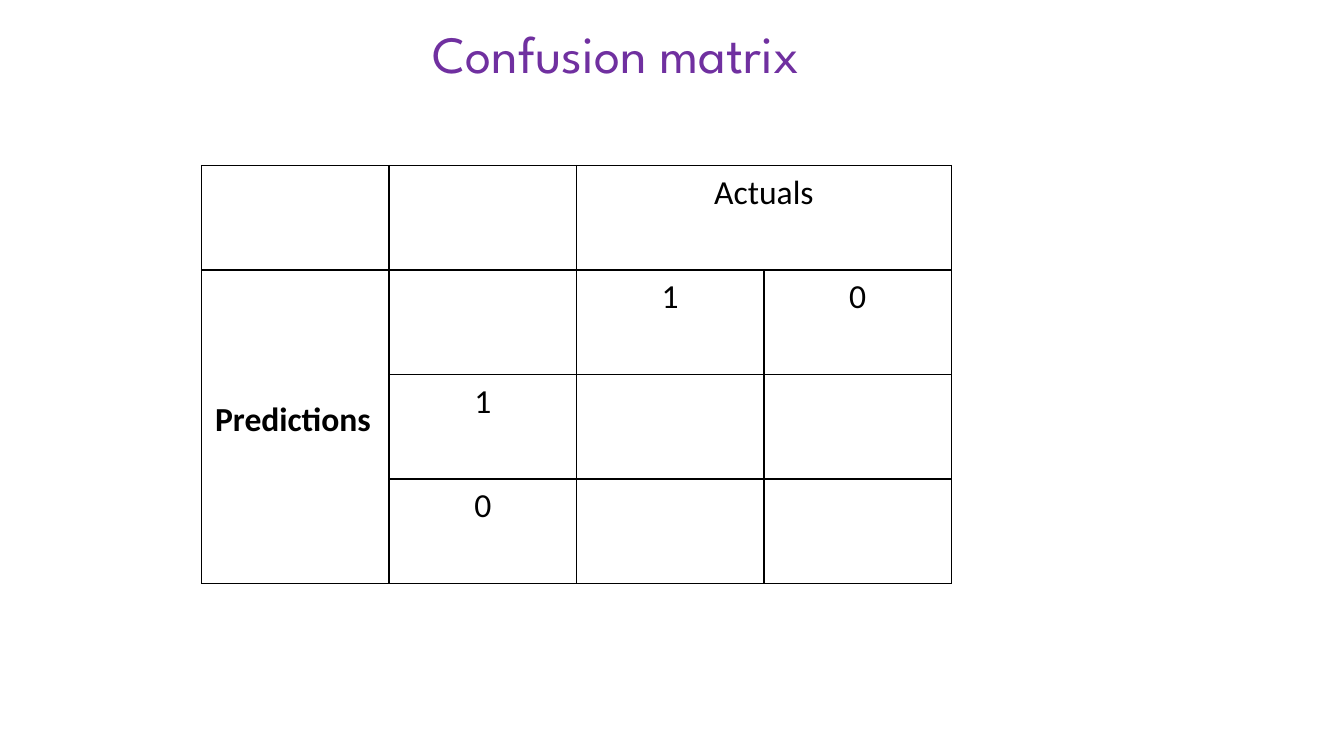
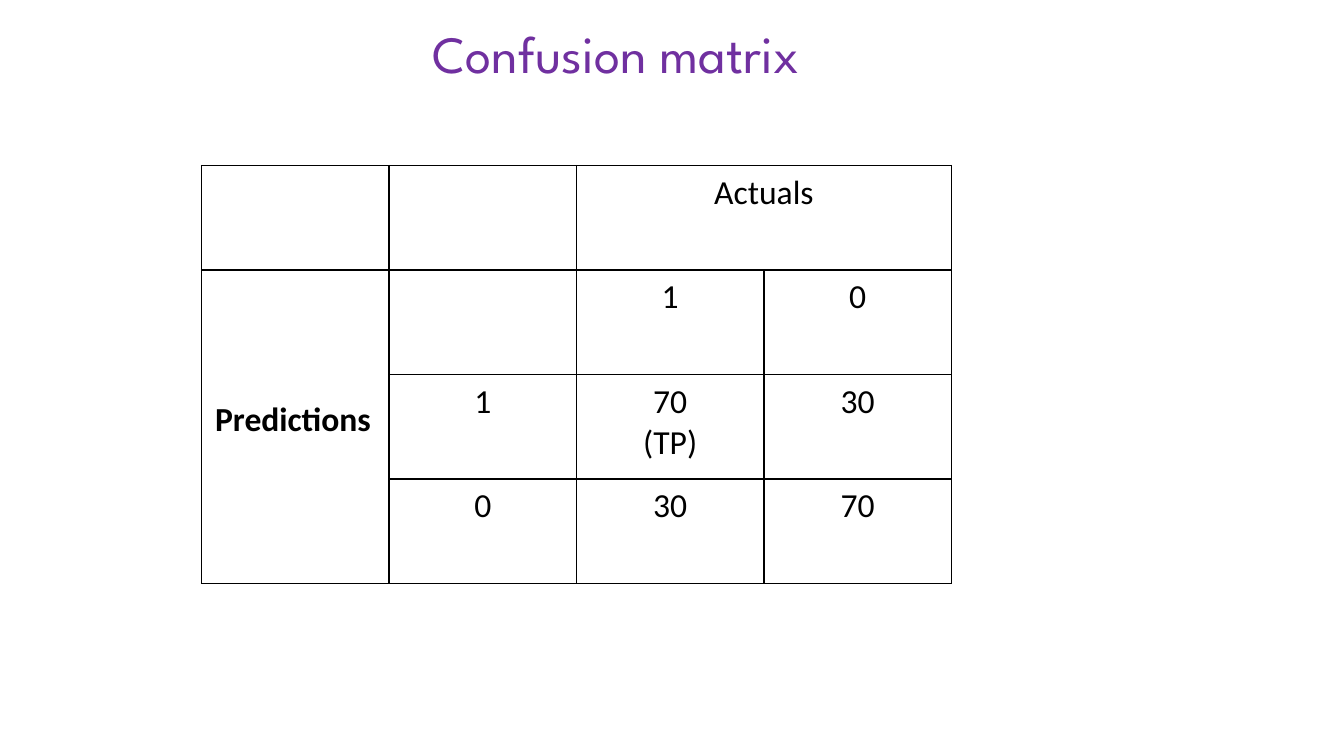
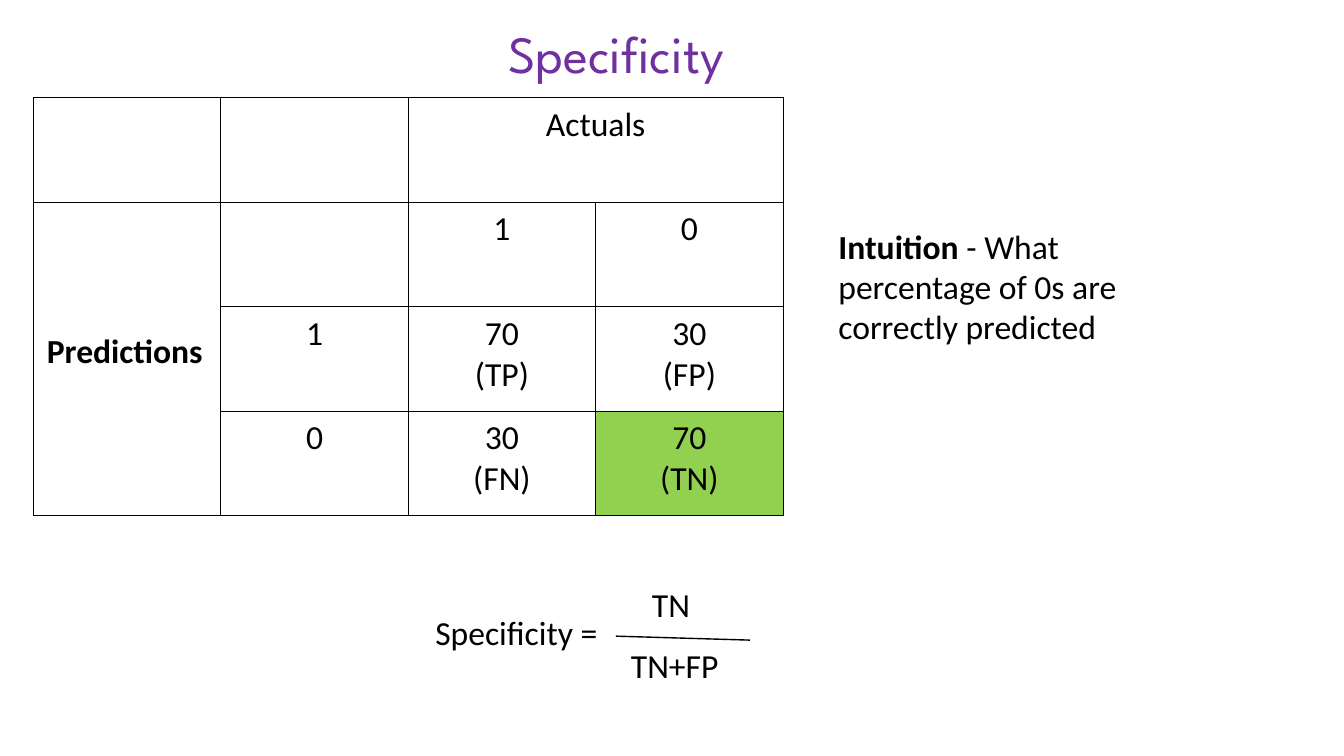
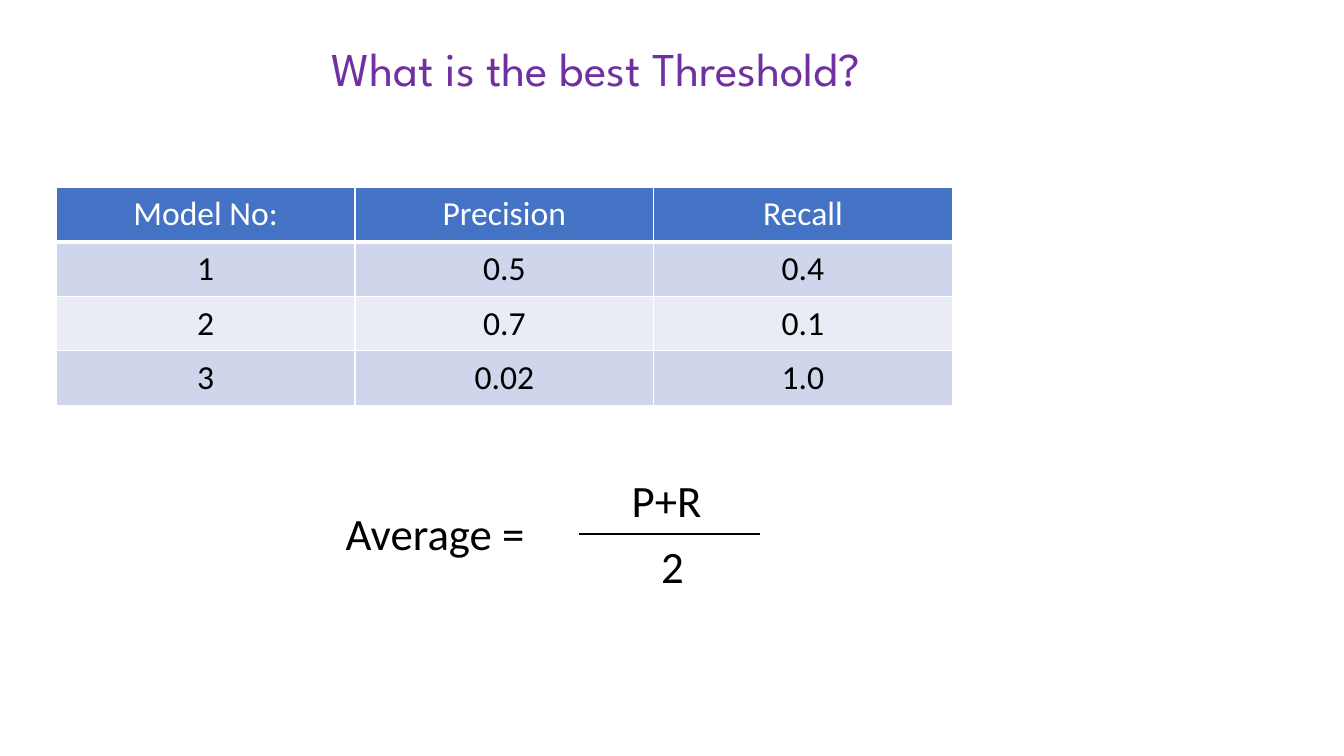
from dataclasses import dataclass

from lxml import etree
from pptx import Presentation
from pptx.dml.color import RGBColor
from pptx.enum.shapes import MSO_CONNECTOR
from pptx.enum.text import MSO_ANCHOR, MSO_AUTO_SIZE, PP_ALIGN
from pptx.oxml.ns import qn
from pptx.util import Cm, Pt

LINE = MSO_CONNECTOR.STRAIGHT
MID = MSO_ANCHOR.MIDDLE
FIXED = MSO_AUTO_SIZE.NONE
LEFT, CENTER = PP_ALIGN.LEFT, PP_ALIGN.CENTER


@dataclass(frozen=True)
class Theme:
    head: str = "League Spartan"
    body: str = "Calibri"
    ink: str = "000000"
    paper: str = "FFFFFF"
    title: str = "7030A0"
    mark: str = "92D050"
    top: str = "4472C4"
    bands: tuple = ("CFD5EA", "E9EBF5")
    big: float = 37.3
    mid: float = 33.6
    text: float = 24
    large: float = 32
    rule: float = 1
    thick: float = 3


T = Theme()

# Lengths in centimetres; boxes are left, top, width, height.
SIZE = (33.87, 19.05)
TITLE_BOX = (9.04, 0.48, 12.98, 1.7)
MATRIX_SIZE = (18.9, 10.54)
PAD_X, PAD_Y = 0.34, 0.17
SIDE_TOP = 3.27

# Counts run TP, FP, FN, TN.
MATRICES = [
    {"title": "Confusion matrix", "at": (5.08, 4.17), "counts": ("", "", "", "")},
    {"title": "Confusion matrix", "at": (5.08, 4.17),
     "counts": ("70\n(TP)", "30", "30", "70")},
    {"title": "Specificity", "at": (0.84, 2.46), "mark": (3, 3),
     "counts": ("70\n(TP)", "30\n(FP)", "30\n(FN)", "70\n(TN)")},
]

NOTE = [("Intuition", True), (" - What percentage of 0s are correctly predicted", False)]
NOTE_BOX = (20.88, 5.56, 9.6, 3.33)

RATIO = {
    "size": T.text,
    "name": ("Specificity =", (10.72, 15.29, 9.91, 1.27)),
    "over": ("TN", (16.18, 14.6, 1.47, 1.27)),
    "under": ("TN+FP", (15.65, 16.13, 2.74, 1.27)),
    "bar": (15.52, 16.03, 18.9, 16.13),
}
MEAN = {
    "size": T.large,
    "name": ("Average =", (8.46, 12.62, 9.91, 1.63)),
    "over": ("P+R", (15.67, 11.79, 2.29, 1.63)),
    "under": ("2", (16.41, 13.44, 1.09, 1.63)),
    "bar": (14.6, 13.46, 19.15, 13.46),
}

SCORES = [
    ("Model No:", "Precision", "Recall"),
    ("1", "0.5", "0.4"),
    ("2", "0.7", "0.1"),
    ("3", "0.02", "1.0"),
]
SCORE_TITLE = "What is the best Threshold?"
SCORE_HEAD = (8.1, 0.79, 17.63, 2.03)
SCORE_BOX = (1.42, 4.72, 22.58, 5.49)


def cms(nums):
    return [Cm(n) for n in nums]


def put(item, **values):
    for key, value in values.items():
        setattr(item, key, value)


def ink(run, color=T.ink, size=T.text, face=T.body, bold=False):
    put(run.font, name=face, size=Pt(size), bold=bold)
    run.font.color.rgb = RGBColor.from_string(color)


def add_slide(deck, text, box=TITLE_BOX, size=T.big, align=CENTER, space=1.0):
    slide = deck.slides.add_slide(deck.slide_layouts[5])
    title = slide.shapes.title
    put(title, **dict(zip(("left", "top", "width", "height"), cms(box))))
    frame = title.text_frame
    frame.text = text
    put(frame, vertical_anchor=MID, auto_size=FIXED, word_wrap=True)
    para = frame.paragraphs[0]
    put(para, alignment=align, line_spacing=space)
    ink(para.runs[0], T.title, size, T.head)
    return slide


def add_text(slide, parts, box, size=T.text, wrap=True):
    frame = slide.shapes.add_textbox(*cms(box)).text_frame
    frame.word_wrap = wrap
    for text, bold in parts:
        run = frame.paragraphs[0].add_run()
        run.text = text
        ink(run, size=size, bold=bold)


def add_ratio(slide, ratio):
    """Write a name, then one term over another with a bar between."""
    for key in ("name", "under", "over"):
        text, box = ratio[key]
        add_text(slide, [(text, False)], box, ratio["size"], key == "name")
    bar = slide.shapes.add_connector(LINE, *cms(ratio["bar"]))
    bar.line.color.rgb = RGBColor.from_string(T.ink)
    bar.line.width = Pt(T.rule)
    etree.SubElement(bar._element.spPr, qn("a:effectLst"))


def edge(cell, color, **widths):
    """Draw the four cell borders; widths may name L, R, T or B."""
    props = cell._tc.get_or_add_tcPr()
    for side in "LRTB":
        width = Pt(widths.get(side, T.rule))
        line = etree.SubElement(props, qn("a:ln" + side), w=str(width))
        fill = etree.SubElement(line, qn("a:solidFill"))
        etree.SubElement(fill, qn("a:srgbClr"), val=color)


def set_cell(cell, text, fill, color=T.ink):
    cell.fill.solid()
    cell.fill.fore_color.rgb = RGBColor.from_string(fill)
    put(cell, margin_left=Cm(PAD_X), margin_right=Cm(PAD_X),
        margin_top=Cm(PAD_Y), margin_bottom=Cm(PAD_Y))
    cell.text = text
    for para in cell.text_frame.paragraphs:
        para.alignment = CENTER
        for run in para.runs:
            ink(run, color)


def add_grid(slide, rows, cols, box):
    table = slide.shapes.add_table(rows, cols, *cms(box)).table
    put(table, first_row=False, horz_banding=False)
    for col in table.columns:
        col.width = Cm(box[2] / cols)
    for row in table.rows:
        row.height = Cm(box[3] / rows)
    return table


def add_matrix(slide, at, counts, mark=None):
    tp, fp, fn, tn = counts
    grid = [
        ("", "", "Actuals", ""),
        ("Predictions", "", "1", "0"),
        ("", "1", tp, fp),
        ("", "0", fn, tn),
    ]
    table = add_grid(slide, 4, 4, at + MATRIX_SIZE)
    for r, row in enumerate(grid):
        for c, text in enumerate(row):
            cell = table.cell(r, c)
            edge(cell, T.ink)
            set_cell(cell, text, T.mark if (r, c) == mark else T.paper)
    table.cell(0, 2).merge(table.cell(0, 3))
    side = table.cell(1, 0)
    side.merge(table.cell(3, 0))
    side.margin_top = Cm(SIDE_TOP)
    para = side.text_frame.paragraphs[0]
    para.alignment = LEFT
    para.runs[0].font.bold = True


def add_scores(slide):
    table = add_grid(slide, len(SCORES), len(SCORES[0]), SCORE_BOX)
    for r, row in enumerate(SCORES):
        fill = T.bands[(r - 1) % 2] if r else T.top
        for c, text in enumerate(row):
            cell = table.cell(r, c)
            edge(cell, T.paper, B=T.rule if r else T.thick)
            set_cell(cell, text, fill, T.ink if r else T.paper)


def main():
    deck = Presentation()
    deck.slide_width, deck.slide_height = cms(SIZE)
    for item in MATRICES:
        slide = add_slide(deck, item["title"])
        add_matrix(slide, item["at"], item["counts"], item.get("mark"))
    add_text(slide, NOTE, NOTE_BOX)
    add_ratio(slide, RATIO)

    slide = add_slide(deck, SCORE_TITLE, SCORE_HEAD, T.mid, LEFT, 0.9)
    add_scores(slide)
    add_ratio(slide, MEAN)
    deck.save("out.pptx")


if __name__ == "__main__":
    main()
